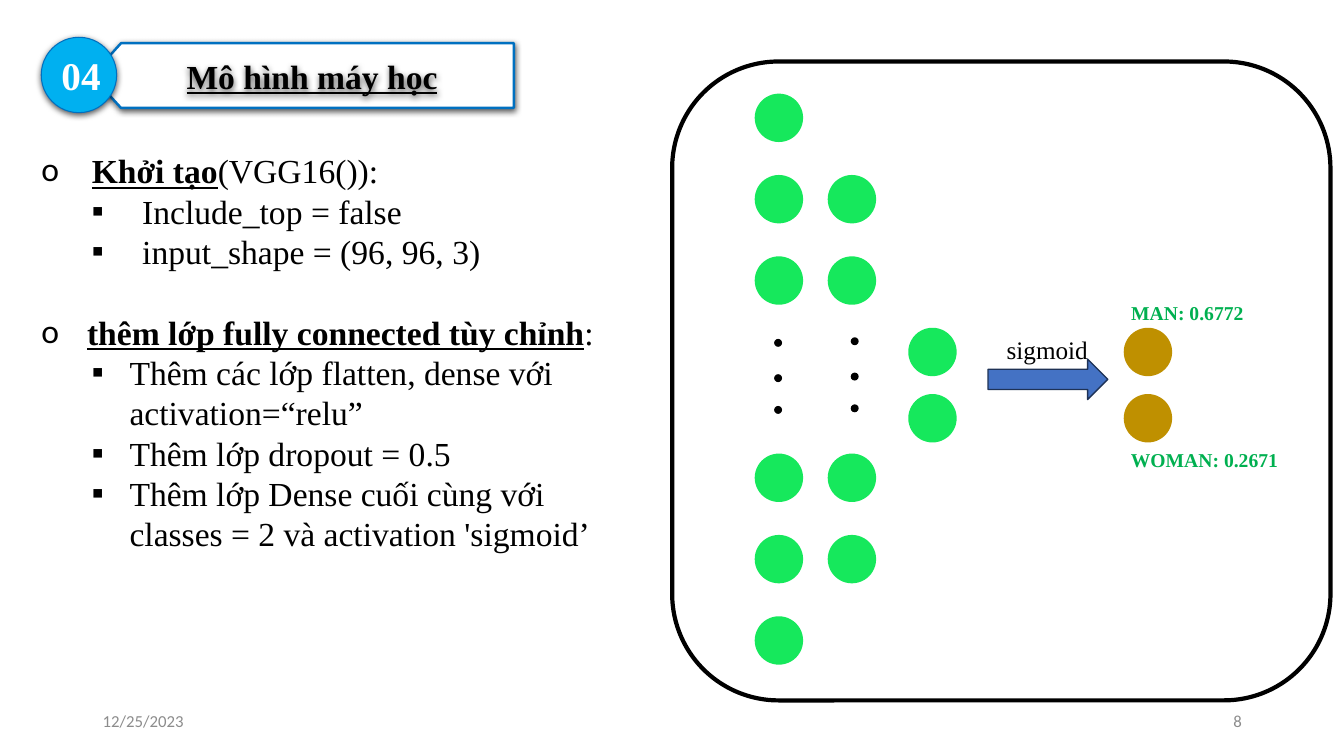
from lxml import etree
from pptx import Presentation
from pptx.dml.color import RGBColor
from pptx.enum.shapes import MSO_SHAPE
from pptx.enum.text import MSO_ANCHOR, MSO_AUTO_SIZE, PP_ALIGN
from pptx.oxml.ns import qn
from pptx.util import Cm, Pt

OVAL, ARROW, FRAME = MSO_SHAPE.OVAL, MSO_SHAPE.RIGHT_ARROW, MSO_SHAPE.ROUNDED_RECTANGLE
TOP, MIDDLE = MSO_ANCHOR.TOP, MSO_ANCHOR.MIDDLE
LEFT, CENTER, RIGHT = PP_ALIGN.LEFT, PP_ALIGN.CENTER, PP_ALIGN.RIGHT
NO_FIT = MSO_AUTO_SIZE.NONE

BLACK = RGBColor(0x00, 0x00, 0x00)
WHITE = RGBColor(0xFF, 0xFF, 0xFF)
GRAY = RGBColor(0x8C, 0x8C, 0x8C)
SKY = RGBColor(0x00, 0xB0, 0xF0)
BLUE = RGBColor(0x00, 0x70, 0xC0)
ARROW_BLUE = RGBColor(0x44, 0x72, 0xC4)
NAVY = RGBColor(0x1E, 0x32, 0x56)
NEURON_GREEN = RGBColor(0x16, 0xE8, 0x5C)
LABEL_GREEN = RGBColor(0x00, 0xB0, 0x50)
GOLD = RGBColor(0xBF, 0x90, 0x00)

SERIF, SANS = "Times New Roman", "Calibri"
NEURON, DOT = 1.22, 0.2


class SlideBuilder:
    def __init__(self, page):
        self.page = page

    def place(self, box, left, top, width, height):
        box.left, box.top, box.width, box.height = Cm(left), Cm(top), Cm(width), Cm(height)

    def style(self, span, size, color=BLACK, bold=False, underline=False, font=SERIF):
        span.font.name = font
        span.font.size = Pt(size)
        span.font.bold = bold
        span.font.underline = underline
        span.font.color.rgb = color

    def paint(self, shape, fill=None, line=None, weight=1):
        shape.shadow.inherit = False
        if fill is None:
            shape.fill.background()
        else:
            shape.fill.solid()
            shape.fill.fore_color.rgb = fill
        if line is None:
            shape.line.fill.background()
        else:
            shape.line.color.rgb = line
            shape.line.width = Pt(weight)

    def cast_shadow(self, shape):
        shape.shadow.inherit = False
        effects = shape.element.spPr.find(qn("a:effectLst"))
        shadow = etree.SubElement(effects, qn("a:outerShdw"), blurRad=str(Pt(4.5)),
                                  dist=str(Pt(1.5)), dir="5400000", rotWithShape="0")
        color = etree.SubElement(shadow, qn("a:srgbClr"), val="000000")
        etree.SubElement(color, qn("a:alpha"), val="63000")

    def shape(self, kind, left, top, width, height, fill=None, line=None, weight=1):
        shape = self.page.shapes.add_shape(kind, Cm(left), Cm(top), Cm(width), Cm(height))
        self.paint(shape, fill, line, weight)
        return shape

    def circles(self, left, tops, size, fill):
        for top in tops:
            self.shape(OVAL, left, top, size, size, fill)

    def outline(self, points, fill, line, weight):
        start, *rest = [(Cm(x), Cm(y)) for x, y in points]
        builder = self.page.shapes.build_freeform(*start)
        builder.add_line_segments(rest, close=True)
        shape = builder.convert_to_shape()
        self.paint(shape, fill, line, weight)
        return shape

    def text(self, words, left, top, width, height, size, color,
             align=LEFT, anchor=TOP, bold=False, font=SERIF):
        box = self.page.shapes.add_textbox(Cm(left), Cm(top), Cm(width), Cm(height))
        frame = box.text_frame
        frame.word_wrap = True
        frame.vertical_anchor = anchor
        frame.text = words
        para = frame.paragraphs[0]
        para.alignment = align
        self.style(para.runs[0], size, color, bold, font=font)

    def title(self, words, left, top, width, height):
        box = self.page.shapes.title
        box.element.getparent().append(box.element)
        self.place(box, left, top, width, height)
        frame = box.text_frame
        frame.text = words
        frame.auto_size = NO_FIT
        frame.vertical_anchor = MIDDLE
        frame.margin_left, frame.margin_right = Cm(1.88), Cm(0.5)
        frame.margin_top = frame.margin_bottom = Cm(0.28)
        para = frame.paragraphs[0]
        para.alignment = LEFT
        para.line_spacing = 1.5
        self.style(para.runs[0], 24, bold=True, underline=True)
        self.cast_shadow(box)

    def bullet(self, para, sign, margin, hanging):
        properties = para._p.get_or_add_pPr()
        properties.set("marL", str(Cm(margin)))
        properties.set("indent", str(-Cm(hanging)))
        etree.SubElement(properties, qn("a:buFont"), typeface=SANS)
        etree.SubElement(properties, qn("a:buChar"), char=sign)

    def body(self, sections, left, top, width, height):
        box = self.page.placeholders[1]
        self.place(box, left, top, width, height)
        frame = box.text_frame
        frame.auto_size = NO_FIT
        frame.vertical_anchor = TOP
        rows = []
        for number, (heading, tail, indent, hanging, items) in enumerate(sections):
            gap = 28.8 if number else 0
            rows.append((heading, tail, 0, "o", indent, indent, gap))
            rows += [(item, "", 1, "▪", 1.27 + hanging, hanging, 0) for item in items]
        frame.text = "\n".join(row[0] for row in rows)
        for para, (_, tail, level, sign, margin, hanging, gap) in zip(frame.paragraphs, rows):
            para.level = level
            para.alignment = LEFT
            para.line_spacing = Pt(28.8)
            para.space_before = Pt(gap)
            para.space_after = Pt(0)
            self.bullet(para, sign, margin, hanging)
            self.style(para.runs[0], 24, bold=level == 0, underline=level == 0)
            if tail:
                span = para.add_run()
                span.text = tail
                self.style(span, 24)


def main():
    deck = Presentation()
    deck.slide_width, deck.slide_height = Cm(33.87), Cm(19.05)
    slide = SlideBuilder(deck.slides.add_slide(deck.slide_layouts[1]))

    banner = slide.outline([(12.95, 2.72), (3.05, 2.72), (2.31, 1.91), (3.05, 1.09),
                            (12.95, 1.09)], WHITE, BLUE, 1.75)
    badge = slide.shape(OVAL, 1.04, 0.94, 1.9, 1.9, SKY, BLUE, 0.75)
    for shape in (banner, badge):
        slide.cast_shadow(shape)
    slide.text("04", 1.3, 1.17, 1.7, 1.45, 28, WHITE, bold=True)
    slide.title("Mô hình máy học", 2.82, 0.94, 10.06, 1.42)

    slide.body([
        ("Khởi tạo", "(VGG16()):", 1.27, 1.27,
         ["Include_top = false", "input_shape = (96, 96, 3)"]),
        ("thêm lớp fully connected tùy chỉnh", ":", 1.15, 0.95,
         ["Thêm các lớp flatten, dense với activation=“relu”",
          "Thêm lớp dropout = 0.5",
          "Thêm lớp Dense cuối cùng với classes = 2 và activation 'sigmoid’"]),
    ], 0.79, 3.66, 14.58, 13.59)

    slide.text("12/25/2023", 2.34, 17.65, 7.62, 1.02, 12, GRAY, anchor=MIDDLE, font=SANS)
    slide.text("8", 23.93, 17.65, 7.62, 1.02, 12, GRAY, RIGHT, MIDDLE, font=SANS)

    upper = [2.36 + 2.05 * row for row in range(3)]
    lower = [11.43 + 2.05 * row for row in range(3)]
    pair = [8.26, 9.93]
    slide.circles(19.02, upper + lower, NEURON, NEURON_GREEN)
    slide.circles(20.86, upper[1:] + lower[:2], NEURON, NEURON_GREEN)
    slide.circles(22.89, pair, NEURON, NEURON_GREEN)
    slide.circles(28.32, pair, NEURON, GOLD)
    for left, shift in ((19.51, 0), (21.44, -0.04)):
        slide.circles(left, [top + shift for top in (8.54, 9.43, 10.23)], DOT, BLACK)

    slide.shape(ARROW, 24.9, 9.05, 3.02, 1.02, ARROW_BLUE, NAVY)
    slide.text("sigmoid", 25.12, 8.31, 2.6, 1.02, 18, BLACK)
    slide.text("WOMAN: 0.2671", 27.18, 11.15, 6.35, 0.86, 14, LABEL_GREEN, CENTER, bold=True)
    slide.text("MAN: 0.6772", 26.75, 7.47, 6.35, 0.86, 14, LABEL_GREEN, CENTER, bold=True)
    slide.shape(FRAME, 16.94, 1.55, 16.59, 16.1, line=BLACK, weight=3)

    deck.save("out.pptx")


if __name__ == "__main__":
    main()
